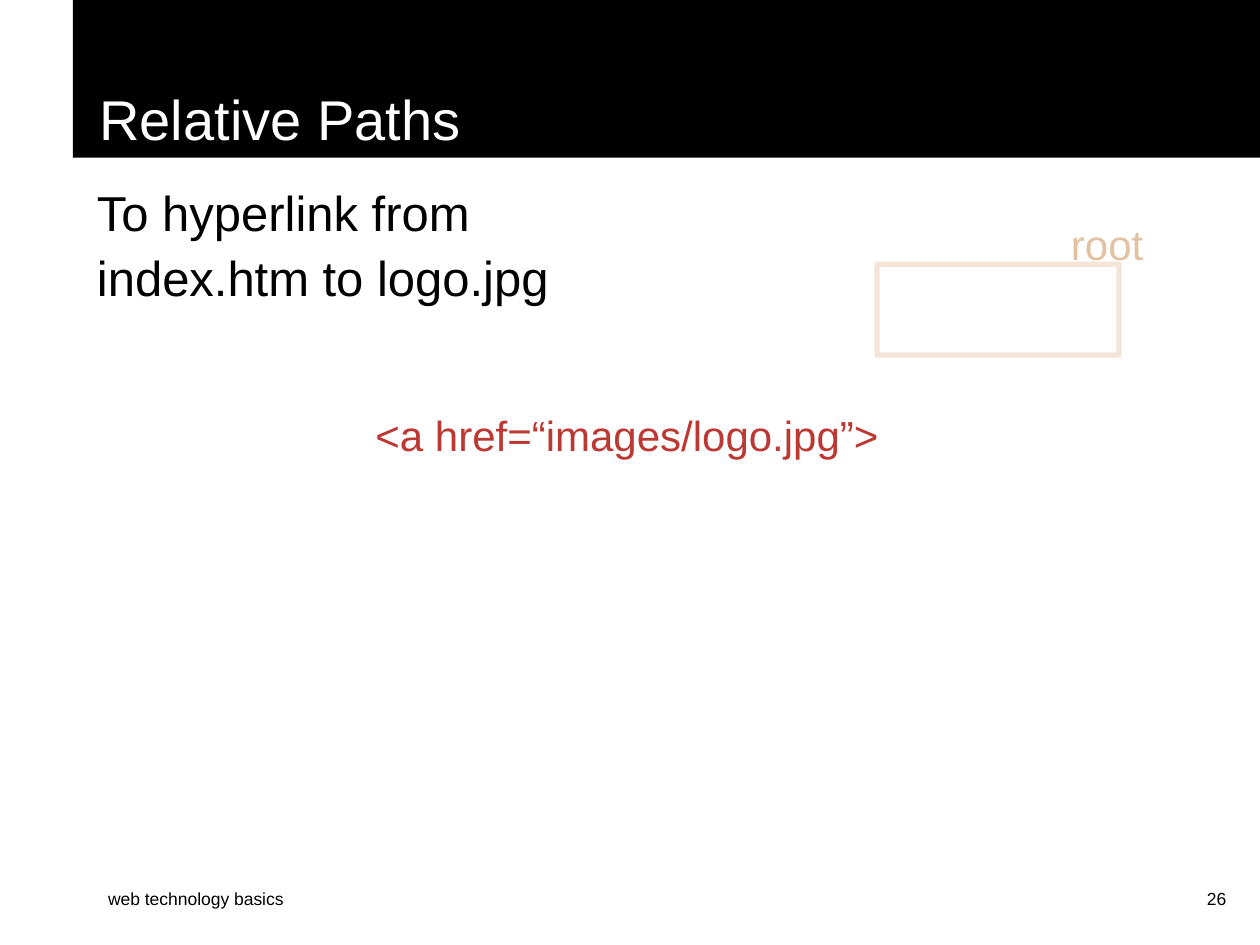
"""Build the slide on relative paths in hyperlinks."""
import pptx
import pptx.util
import pptx.dml.color
import pptx.enum.shapes
import pptx.enum.text
import pptx.oxml

Cm, Pt = pptx.util.Cm, pptx.util.Pt
RGBColor = pptx.dml.color.RGBColor
MSO_ANCHOR = pptx.enum.text.MSO_ANCHOR
PP_ALIGN = pptx.enum.text.PP_ALIGN
MSO_AUTO_SIZE = pptx.enum.text.MSO_AUTO_SIZE

BLACK = RGBColor(0x00, 0x00, 0x00)
WHITE = RGBColor(0xFF, 0xFF, 0xFF)
RED = RGBColor(0xBB, 0x39, 0x32)
TAN = RGBColor(0xE3, 0xC2, 0xA3)
DRAWING_NS = "http://schemas.openxmlformats.org/drawingml/2006/main"


def style(paragraph, size, color, align=PP_ALIGN.LEFT):
    """Set the font and alignment of a paragraph."""
    paragraph.alignment = align
    font = paragraph.font
    font.name = "Arial"
    font.size = Pt(size)
    font.color.rgb = color


def fill_placeholder(placeholder, text, box, indent, size, color, anchor):
    """Move a placeholder and write one unbulleted paragraph into it."""
    placeholder.left, placeholder.top, placeholder.width, placeholder.height = map(Cm, box)
    frame = placeholder.text_frame
    frame.text = text
    frame.word_wrap = True
    frame.auto_size = MSO_AUTO_SIZE.NONE
    frame.vertical_anchor = anchor
    paragraph = frame.paragraphs[0]
    properties = paragraph._p.get_or_add_pPr()
    properties.set("marL", str(int(Cm(indent))))
    properties.set("indent", "0")
    properties.append(pptx.oxml.parse_xml(f'<a:buNone xmlns:a="{DRAWING_NS}"/>'))
    style(paragraph, size, color)
    paragraph.space_before = Pt(0)
    return paragraph


def add_label(slide, text, box, size, color, align=PP_ALIGN.LEFT, wrap=True):
    """Add a text box holding one paragraph."""
    frame = slide.shapes.add_textbox(*map(Cm, box)).text_frame
    frame.word_wrap = wrap
    frame.text = text
    paragraph = frame.paragraphs[0]
    style(paragraph, size, color, align)
    return paragraph


def add_outline(slide, box, color, width, opacity):
    """Add an unfilled rectangle with a translucent outline."""
    outline = slide.shapes.add_shape(
        pptx.enum.shapes.MSO_SHAPE.RECTANGLE, *map(Cm, box))
    outline.shadow.inherit = False
    outline.fill.background()
    outline.line.color.rgb = color
    outline.line.width = Pt(width)
    tint = outline.line._ln.find(f".//{{{DRAWING_NS}}}srgbClr")
    tint.append(pptx.oxml.parse_xml(
        f'<a:alpha xmlns:a="{DRAWING_NS}" val="{opacity * 1000}"/>'))


def main():
    """Build and save the slide."""
    deck = pptx.Presentation()
    deck.slide_width, deck.slide_height = Cm(25.4), Cm(19.05)
    slide = deck.slides.add_slide(deck.slide_layouts[1])

    title = slide.shapes.title
    fill_placeholder(title, "Relative Paths", (1.47, 0, 23.93, 3.18),
                     0.28, 32, WHITE, MSO_ANCHOR.BOTTOM)
    title.fill.solid()
    title.fill.fore_color.rgb = BLACK

    task = fill_placeholder(slide.placeholders[1], "To hyperlink from \vindex.htm to logo.jpg",
                            (1.45, 3.43, 13.56, 5.23), 0.25, 28, BLACK, MSO_ANCHOR.TOP)
    task.line_spacing = 1.1
    task.space_after = Pt(7)

    link = add_label(slide, "<a href=“images/logo.jpg”>", (7.32, 7.77, 23.57, 1.88),
                     24, RED, wrap=False)
    link.line_spacing = 1.35

    add_outline(slide, (17.68, 5.33, 4.88, 1.83), TAN, 3, 41)
    add_label(slide, "root", (21.34, 4.29, 3.84, 1.42), 24, TAN)

    add_label(slide, "web technology basics", (1.93, 17.78, 8.41, 1.27), 10, BLACK)
    add_label(slide, "26", (19.69, 17.78, 5.28, 1.27), 10, BLACK, PP_ALIGN.RIGHT)

    deck.save("out.pptx")


if __name__ == "__main__":
    main()
